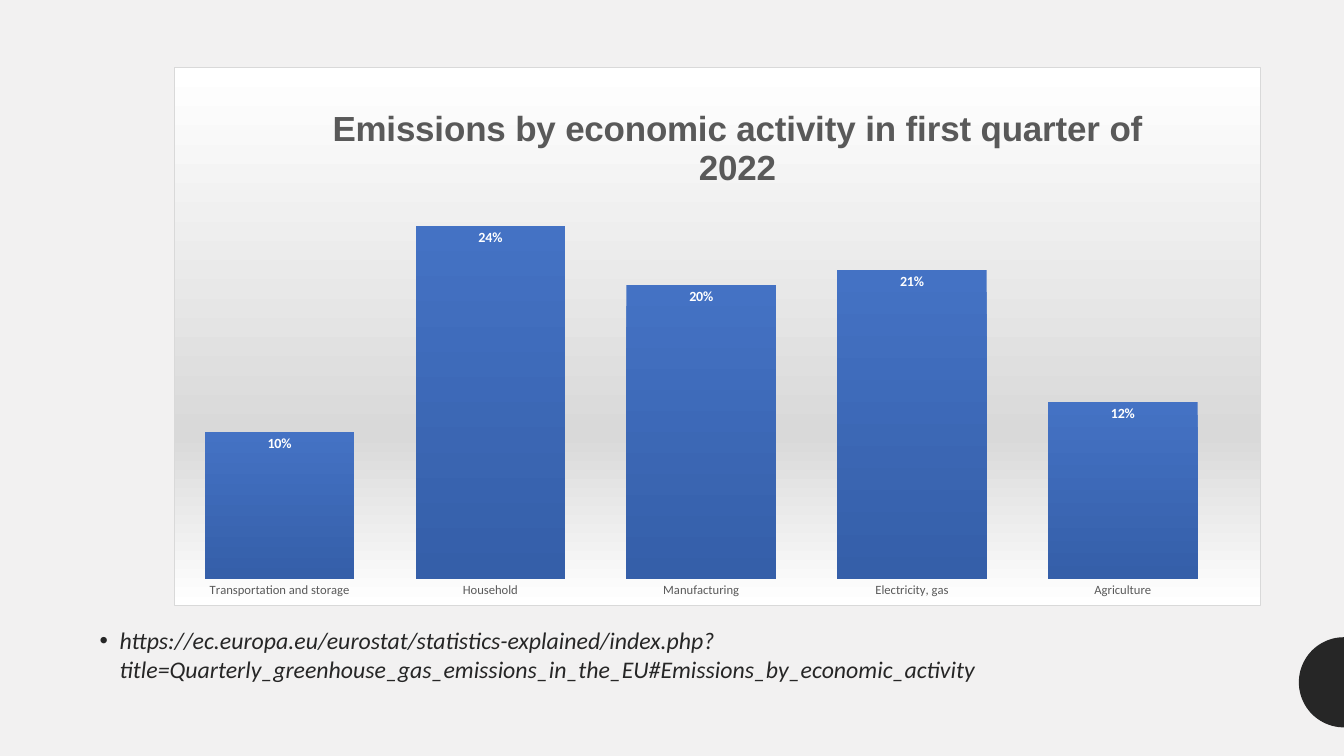
import math

from lxml import etree
from pptx import Presentation
from pptx.chart.data import CategoryChartData
from pptx.dml.color import RGBColor
from pptx.enum.chart import XL_CHART_TYPE, XL_LABEL_POSITION, XL_TICK_MARK
from pptx.enum.text import PP_ALIGN
from pptx.oxml.ns import qn
from pptx.util import Pt

COLUMNS = XL_CHART_TYPE.COLUMN_CLUSTERED
INSIDE_END = XL_LABEL_POSITION.INSIDE_END
NO_TICK = XL_TICK_MARK.NONE
CENTER = PP_ALIGN.CENTER

COLORS = {
    "background": "F2F1F1",
    "dark": "262626",
    "gray": "595959",
    "band": "D9D9D9",
    "white": "FFFFFF",
    "bar_top": "4472C4",
    "bar_bottom": "355FA9",
}
EMISSIONS = {
    "Transportation and storage": 0.10,
    "Household": 0.24,
    "Manufacturing": 0.20,
    "Electricity, gas": 0.21,
    "Agriculture": 0.12,
}
CHART_TITLE = "Emissions by economic activity in first quarter of 2022"
SOURCE_URL = (
    "https://ec.europa.eu/eurostat/statistics-explained/index.php?"
    "title=Quarterly_greenhouse_gas_emissions_in_the_EU#Emissions_by_economic_activity"
)


def rgb(name):
    return RGBColor.from_string(COLORS[name])


def set_font(font, size, color, name="Calibri", bold=False, italic=False):
    font.name = name
    font.size = Pt(size)
    font.bold = bold
    font.italic = italic
    font.color.rgb = rgb(color)


def add_child(parent, tag, **attributes):
    return etree.SubElement(parent, qn(tag), attributes)


def add_gradient(properties, stops):
    """Fill a shape-properties element from top to bottom; stops are (percent, color)."""
    gradient = add_child(properties, "a:gradFill", rotWithShape="1")
    stop_list = add_child(gradient, "a:gsLst")
    for percent, color in stops:
        stop = add_child(stop_list, "a:gs", pos=str(percent * 1000))
        add_child(stop, "a:srgbClr", val=COLORS[color])
    add_child(gradient, "a:lin", ang="5400000", scaled="0")


def set_layout(element, **fractions):
    """Place a chart part by fractions of the chart's width and height."""
    layout = element.find(qn("c:layout"))
    if layout is None:
        layout = etree.Element(qn("c:layout"))
        element.insert(0, layout)
    manual = add_child(layout, "c:manualLayout")
    if "w" in fractions:
        add_child(manual, "c:layoutTarget", val="inner")
    for side in "xy":
        add_child(manual, f"c:{side}Mode", val="edge")
    for side, fraction in fractions.items():
        add_child(manual, f"c:{side}", val=str(fraction))


def format_chart_area(chart):
    area = etree.Element(qn("c:spPr"))
    chart.element.find(qn("c:chart")).addnext(area)
    add_gradient(area, [(0, "white"), (68, "band"), (100, "white")])
    border = add_child(area, "a:ln", w=str(Pt(0.75)))
    fill = add_child(border, "a:solidFill")
    add_child(fill, "a:srgbClr", val=COLORS["band"])


def format_axes(chart):
    category_axis = chart.category_axis
    category_axis.major_tick_mark = NO_TICK
    category_axis.minor_tick_mark = NO_TICK
    category_axis.format.line.fill.background()
    set_font(category_axis.tick_labels.font, 9, "gray")

    value_axis = chart.value_axis
    value_axis.minimum_scale = 0
    value_axis.maximum_scale = 0.3
    value_axis.has_major_gridlines = False
    value_axis.visible = False


def format_columns(plot):
    plot.gap_width = 41
    plot.vary_by_categories = False
    series = plot.series[0]
    add_gradient(series.format.fill._xPr, [(0, "bar_top"), (100, "bar_bottom")])

    labels = series.data_labels
    labels.show_value = True
    labels.position = INSIDE_END
    labels.number_format = "0%"
    labels.number_format_is_linked = False
    set_font(labels.font, 10, "white", bold=True)


def add_chart_title(chart):
    title = chart.chart_title
    paragraph = title.text_frame.paragraphs[0]
    paragraph.text = CHART_TITLE
    paragraph.alignment = CENTER
    set_font(paragraph.font, 25, "gray", name="Arial", bold=True)
    set_layout(title._element, x=0.14, y=0.06)


def add_emissions_chart(slide):
    data = CategoryChartData(number_format="0%")
    data.categories = list(EMISSIONS)
    data.add_series("Series 1", list(EMISSIONS.values()))
    frame = slide.shapes.add_chart(COLUMNS, Pt(124), Pt(48), Pt(777), Pt(385), data)
    chart = frame.chart
    chart.has_legend = False
    set_font(chart.font, 10, "gray")
    add_chart_title(chart)
    format_chart_area(chart)
    format_axes(chart)
    format_columns(chart.plots[0])
    set_layout(chart.element.find(".//" + qn("c:plotArea")), x=0, y=0.13, w=0.97, h=0.82)


def add_source(slide):
    box = slide.shapes.add_textbox(Pt(64), Pt(443.5), Pt(896), Pt(64))
    box.text_frame.word_wrap = True
    paragraph = box.text_frame.paragraphs[0]
    paragraph.text = SOURCE_URL
    paragraph.space_before = paragraph.space_after = Pt(4)
    set_font(paragraph.font, 17, "dark", italic=True)

    properties = paragraph._p.get_or_add_pPr()
    indent = Pt(14.4)
    properties.set("marL", str(indent))
    properties.set("indent", str(-indent))
    bullet_font = etree.Element(qn("a:buFont"), typeface="Arial")
    bullet = etree.Element(qn("a:buChar"), char="•")
    properties.find(qn("a:defRPr")).addprevious(bullet_font)
    bullet_font.addnext(bullet)


def add_half_disc(slide, center_x, center_y, radius, steps=48):
    """Draw the left half of a disc whose flat side is at center_x."""
    points = []
    for step in range(steps + 1):
        angle = math.pi * (0.5 + step / steps)
        x = center_x + radius * math.cos(angle)
        y = center_y + radius * math.sin(angle)
        points.append((Pt(x), Pt(y)))
    builder = slide.shapes.build_freeform(*points[0])
    builder.add_line_segments(points[1:], close=True)
    shape = builder.convert_to_shape()
    shape.shadow.inherit = False
    shape.fill.solid()
    shape.fill.fore_color.rgb = rgb("dark")
    shape.line.fill.background()


def main():
    presentation = Presentation()
    presentation.slide_width = Pt(960)
    presentation.slide_height = Pt(540)
    slide = presentation.slides.add_slide(presentation.slide_layouts.get_by_name("Blank"))
    background = slide.background.fill
    background.solid()
    background.fore_color.rgb = rgb("background")

    add_half_disc(slide, 960, 487.4, 32.2)
    add_source(slide)
    add_emissions_chart(slide)
    presentation.save("out.pptx")


if __name__ == "__main__":
    main()
